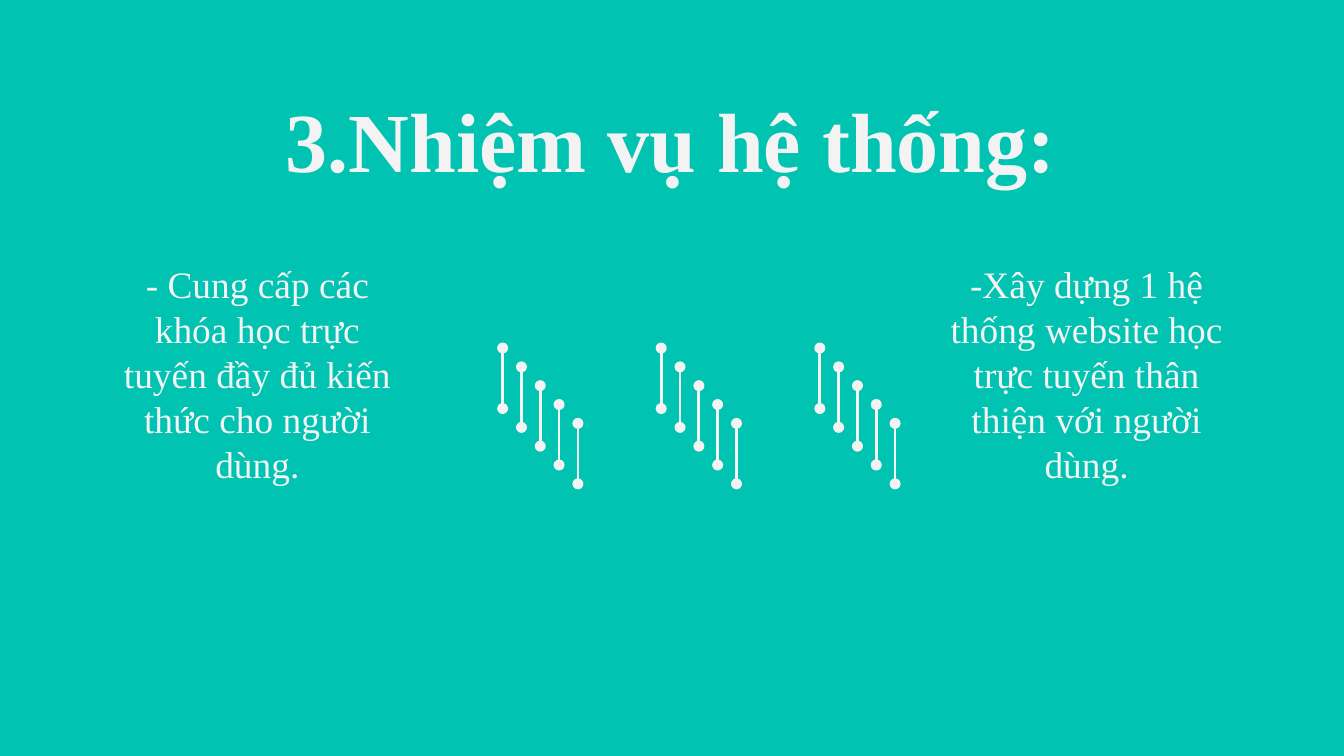
from dataclasses import dataclass

from lxml import etree
from pptx import Presentation
from pptx.dml.color import RGBColor
from pptx.enum.shapes import MSO_CONNECTOR
from pptx.enum.text import MSO_ANCHOR, MSO_AUTO_SIZE, PP_ALIGN
from pptx.oxml.ns import qn
from pptx.util import Inches, Pt

STRAIGHT = MSO_CONNECTOR.STRAIGHT
TOP, MIDDLE = MSO_ANCHOR.TOP, MSO_ANCHOR.MIDDLE
NO_AUTOFIT = MSO_AUTO_SIZE.NONE
CENTER = PP_ALIGN.CENTER
TITLE_ONLY = 5


@dataclass(frozen=True)
class Theme:
    """Colours, font and sizes of the slide."""
    background: RGBColor = RGBColor(0x00, 0xC3, 0xB1)
    foreground: RGBColor = RGBColor(0xF3, 0xF3, 0xF3)
    font: str = "Times New Roman"
    title_size: Pt = Pt(45)
    task_size: Pt = Pt(20)
    bar_width: Pt = Pt(1.5)


THEME = Theme()


def write_text(frame, text, size, anchor, bold=False):
    """Fill a text frame with one centred paragraph."""
    frame.word_wrap = True
    frame.auto_size = NO_AUTOFIT
    frame.vertical_anchor = anchor
    frame.margin_left = frame.margin_right = Inches(0.1)
    frame.margin_top = frame.margin_bottom = Inches(0.1)
    frame.text = text
    paragraph = frame.paragraphs[0]
    paragraph.alignment = CENTER
    paragraph.line_spacing = 1.0
    font = paragraph.runs[0].font
    font.name = THEME.font
    font.size = size
    font.bold = bold
    font.color.rgb = THEME.foreground


def place_title(slide, text):
    """Move and format the title placeholder."""
    title = slide.shapes.title
    title.left, title.top = Inches(0.79), Inches(0.56)
    title.width, title.height = Inches(8.4), Inches(0.88)
    write_text(title.text_frame, text, THEME.title_size, TOP, bold=True)


def add_task(slide, left, text):
    """Add one system task as a text column."""
    task = slide.shapes.add_textbox(
        Inches(left), Inches(2.25), Inches(2.25), Inches(1.06))
    write_text(task.text_frame, text, THEME.task_size, MIDDLE)


def add_bar(slide, x, top):
    """Add a vertical line with a dot at both ends."""
    bar = slide.shapes.add_connector(
        STRAIGHT, Inches(x), Inches(top), Inches(x), Inches(top + 0.45))
    bar.line.color.rgb = THEME.foreground
    bar.line.width = THEME.bar_width
    outline = bar.line._get_or_add_ln()
    for end in ("a:headEnd", "a:tailEnd"):
        etree.SubElement(outline, qn(end), type="oval")
    etree.SubElement(bar._element.spPr, qn("a:effectLst"))


def add_bar_group(slide, left, top=2.59, count=5, step=0.14):
    """Add bars that descend to the right in equal steps."""
    for index in range(count):
        add_bar(slide, left + index * step, top + index * step)


def main():
    """Build and save the slide."""
    deck = Presentation()
    deck.slide_width = Inches(10)
    deck.slide_height = deck.slide_width * 9 // 16
    slide = deck.slides.add_slide(deck.slide_layouts[TITLE_ONLY])
    slide.background.fill.solid()
    slide.background.fill.fore_color.rgb = THEME.background

    place_title(slide, "3.Nhiệm vụ hệ thống:")
    add_task(slide, 0.79, "- Cung cấp các khóa học trực tuyến đầy đủ kiến "
                          "thức cho người dùng.")
    add_task(slide, 6.96, "-Xây dựng 1 hệ thống website học trực tuyến thân "
                          "thiện với người dùng.")
    for group in range(3):
        add_bar_group(slide, 3.74 + group * 1.18)

    deck.save("out.pptx")


if __name__ == "__main__":
    main()
